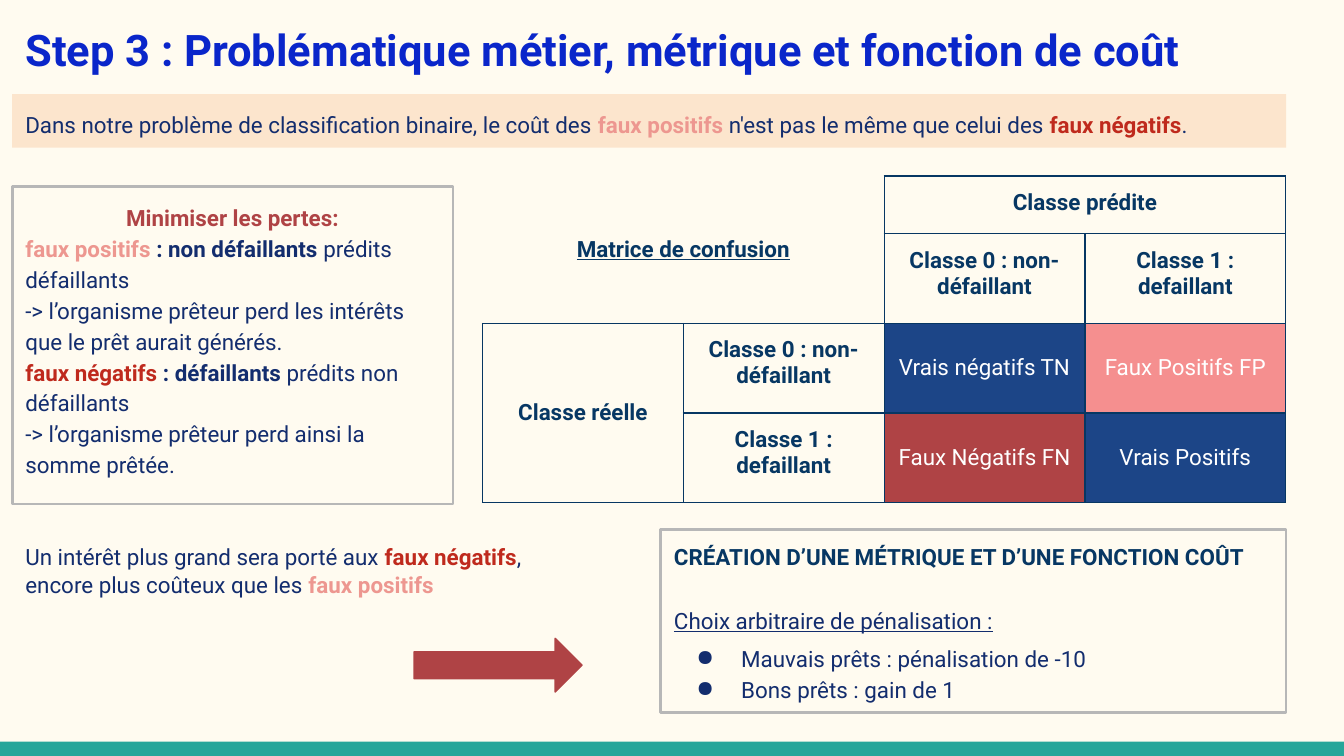
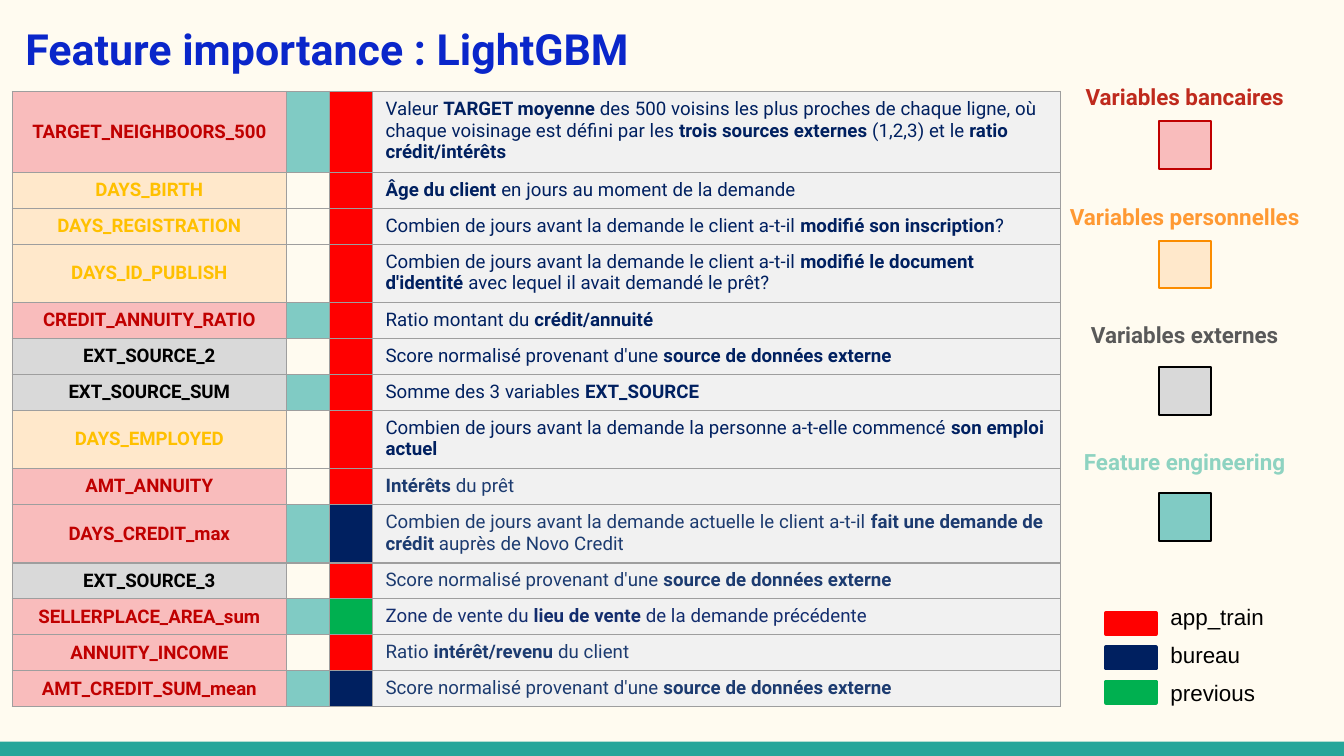
"""Build two slides on the credit cost function and the feature importance."""
from lxml import etree
from pptx import Presentation
from pptx.dml.color import RGBColor
from pptx.enum import shapes, text
from pptx.oxml import ns
from pptx.util import Pt

HEX = {
    "cream": "FFFBF0", "teal": "26A69A", "blue": "0A26CA", "navy": "132D6E",
    "ink": "073763", "rose": "ED9790", "brick": "BF2A1D", "wine": "AF4345",
    "peach": "FCE5CD", "grey": "B7B7B7", "royal": "1C4587", "coral": "F58F8F",
    "white": "FFFFFF", "black": "000000", "rule": "9E9E9E", "pale": "F1F1F1",
    "pink": "F9BCBC", "crimson": "C00000", "sand": "FFE8CB", "gold": "FFC000",
    "silver": "D9D9D9", "mint": "80CBC4", "red": "FF0000", "deep": "002060",
    "green": "00B050", "steel": "1C3B70", "orange": "FF9933", "amber": "FB8C00",
    "slate": "595959", "aqua": "8ED3C1",
}
TINTS = {"faux positifs": "rose", "faux négatifs": "brick"}
LEFT, MID = text.PP_ALIGN.LEFT, text.PP_ALIGN.CENTER
TOP, HALF = text.MSO_ANCHOR.TOP, text.MSO_ANCHOR.MIDDLE
RECT, ARROW = shapes.MSO_SHAPE.RECTANGLE, shapes.MSO_SHAPE.RIGHT_ARROW
EDGES = ("L", "R", "T", "B")


class Deck:
    """Hold the shared style and the current slide."""

    def __init__(self):
        self.show = Presentation()
        self.show.slide_width, self.show.slide_height = Pt(720), Pt(405)
        self.slide = None

    def rgb(self, name):
        """Return the named colour."""
        return RGBColor.from_string(HEX[name])

    def page(self, title, size):
        """Start a slide with its background, footer band and title."""
        self.slide = self.show.slides.add_slide(self.show.slide_layouts[6])
        back = self.slide.background.fill
        back.solid()
        back.fore_color.rgb = self.rgb("cream")
        self.shape((0, 397.4, 720, 7.6), "teal")
        self.label((6.5, 5, 666, 45.4), [f"|{title}|"], pad=(7.2, 7.2), size=size, color="blue")

    def paint(self, item, fill):
        """Fill a shape or cell, or leave it clear."""
        if fill:
            item.fill.solid()
            item.fill.fore_color.rgb = self.rgb(fill)
        else:
            item.fill.background()

    def shape(self, box, fill=None, line=None, width=1.5, kind=RECT):
        """Add a preset shape."""
        item = self.slide.shapes.add_shape(kind, *map(Pt, box))
        item.shadow.inherit = False
        self.paint(item, fill)
        if line:
            item.line.color.rgb = self.rgb(line)
            item.line.width = Pt(width)
        else:
            item.line.fill.background()
        return item

    def label(self, box, lines, pad=(7.2, 3.6), **style):
        """Add a text box."""
        frame = self.slide.shapes.add_textbox(*map(Pt, box)).text_frame
        return self.fit(frame, lines, pad, **style)

    def fit(self, frame, lines, pad=(7.2, 7.2), **style):
        """Set the margins of a frame and put in its lines."""
        frame.word_wrap = True
        frame.vertical_anchor = TOP
        frame.margin_left = frame.margin_right = Pt(pad[0])
        frame.margin_top = frame.margin_bottom = Pt(pad[1])
        return self.say(frame, lines, **style)

    def say(self, frame, lines, size=12, color="navy", align=LEFT, lead=None,
            font="Roboto", track=0):
        """Put in lines whose bars enclose bold words."""
        for row, line in enumerate(lines):
            para = frame.add_paragraph() if row else frame.paragraphs[0]
            para.alignment = align
            if lead:
                para.line_spacing = lead
            for spot, piece in enumerate(line.split("|")):
                if not piece:
                    continue
                run = para.add_run()
                run.text = piece
                run.font.name, run.font.size = font, Pt(size)
                run.font.bold = spot % 2 == 1
                run.font.color.rgb = self.rgb(TINTS.get(piece, color))
                if track:
                    run.font._element.set("spc", str(track))
        return frame.paragraphs

    def bullet(self, para):
        """Give a paragraph a round bullet."""
        props = para._p.get_or_add_pPr()
        props.set("marL", str(Pt(36)))
        props.set("indent", str(Pt(-24)))
        tint = etree.SubElement(props, ns.qn("a:buClr"))
        etree.SubElement(tint, ns.qn("a:srgbClr")).set("val", HEX["navy"])
        etree.SubElement(props, ns.qn("a:buChar")).set("char", "●")

    def table(self, spot, cols, rows):
        """Add a plain table."""
        size = (sum(cols), sum(rows))
        grid = self.slide.shapes.add_table(len(rows), len(cols), *map(Pt, spot + size)).table
        grid.first_row = grid.horz_banding = False
        for col, width in zip(grid.columns, cols):
            col.width = Pt(width)
        for row, height in zip(grid.rows, rows):
            row.height = Pt(height)
        return grid

    def cell(self, cell, words, edge, fill=None, pad=3.6, anchor=HALF, sides=EDGES, **style):
        """Border, fill and letter one cell."""
        props = cell._tc.get_or_add_tcPr()
        for side in EDGES:
            line = etree.SubElement(props, ns.qn(f"a:ln{side}"))
            if side in sides:
                line.set("w", str(Pt(0.75)))
                solid = etree.SubElement(line, ns.qn("a:solidFill"))
                etree.SubElement(solid, ns.qn("a:srgbClr")).set("val", HEX[edge])
            else:
                etree.SubElement(line, ns.qn("a:noFill"))
        self.paint(cell, fill)
        cell.margin_top = cell.margin_bottom = Pt(pad)
        cell.vertical_anchor = anchor
        paras = self.say(cell.text_frame, [words], **style)
        if not words:
            etree.SubElement(paras[0]._p, ns.qn("a:endParaRPr")).set("sz", "800")
        return paras


def cost(deck):
    """Build the slide on the business problem and the cost function."""
    deck.page("Step 3 : Problématique métier, métrique et fonction de coût", 23.3)

    zero, one = "|Classe 0 : non-défaillant|", "|Classe 1 : defaillant|"
    cells = [
        ["|Matrice de confusion|", "", "|Classe prédite|", ""],
        ["", "", zero, one],
        ["|Classe réelle|", zero, "Vrais négatifs TN", "Faux Positifs FP"],
        ["", one, "Faux Négatifs FN", "Vrais Positifs"],
    ]
    fills = {(2, 2): "royal", (2, 3): "coral", (3, 2): "wine", (3, 3): "royal"}
    grid = deck.table((258.5, 94.3), [107.6] * 4, [31, 48, 48, 48])
    for r, row in enumerate(cells):
        for c, words in enumerate(row):
            fill, corner = fills.get((r, c)), r < 2 and c < 2
            middle = fill or c == 0
            paras = deck.cell(
                grid.cell(r, c), words, "ink", fill, 7.2, HALF if middle else TOP,
                ("R", "B") if corner else EDGES,
                color="white" if fill else "ink", align=MID)
            if corner and words:
                paras[0].runs[0].font.underline = True
    for start, end in (((0, 0), (1, 1)), ((0, 2), (0, 3)), ((2, 0), (3, 0))):
        grid.cell(*start).merge(grid.cell(*end))

    strip = deck.shape((6.5, 50.4, 682.5, 28.8), "peach")
    deck.fit(strip.text_frame, [
        "Dans notre problème de classification binaire, le coût des |faux positifs| "
        "n'est pas le même que celui des |faux négatifs|."], lead=1.15)

    loss = deck.shape((6.5, 100, 236.2, 170), line="grey")
    paras = deck.fit(loss.text_frame, [
        "|Minimiser les pertes:|",
        "|faux positifs| |: non défaillants| prédits défaillants",
        "-> l’organisme prêteur perd les intérêts que le prêt aurait générés.",
        "|faux négatifs| |: défaillants| prédits non défaillants",
        "-> l’organisme prêteur perd ainsi la somme prêtée."], lead=1.15)
    paras[0].alignment = MID
    paras[0].runs[0].font.color.rgb = deck.rgb("wine")

    deck.label((6.5, 283.7, 309, 43.9), [
        "Un intérêt plus grand sera porté aux |faux négatifs|, "
        "encore plus coûteux que les |faux positifs|"], pad=(7.2, 7.2), lead=1.02)

    metric = deck.shape((354, 283.7, 335, 98), line="grey")
    head, pick, *gains = deck.fit(metric.text_frame, [
        "|CRÉATION D’UNE MÉTRIQUE ET D’UNE FONCTION COÛT|",
        "Choix arbitraire de pénalisation :",
        "Mauvais prêts : pénalisation de -10",
        "Bons prêts : gain de 1"], lead=1.15)
    head.line_spacing = 1.02
    head.runs[0].font.color.rgb = deck.rgb("ink")
    pick.space_before = Pt(17.5)
    pick.runs[0].font.underline = True
    gains[0].space_before = Pt(4)
    for gain in gains:
        deck.bullet(gain)

    deck.shape((221.8, 342, 90, 28.8), "wine", "wine", 0.75, ARROW)


def features(deck):
    """Build the slide on feature importance."""
    deck.page("Feature importance : LightGBM", 23)

    bank, own, ext = ("pink", "crimson"), ("sand", "gold"), ("silver", "black")
    train, bureau, prior = "red", "deep", "green"
    score = "Score normalisé provenant d'une |source de données externe|"
    rows = [
        ("TARGET_NEIGHBOORS_500", bank, "mint", train, "deep",
         "Valeur |TARGET moyenne| des 500 voisins les plus proches de chaque ligne, où "
         "chaque voisinage est défini par les |trois sources externes| (1,2,3) et le "
         "|ratio crédit/intérêts|"),
        ("DAYS_BIRTH", own, None, train, "deep",
         "|Âge du client| en jours au moment de la demande"),
        ("DAYS_REGISTRATION", own, None, train, "deep",
         "Combien de jours avant la demande le client a-t-il |modifié son inscription|?"),
        ("DAYS_ID_PUBLISH", own, None, train, "deep",
         "Combien de jours avant la demande le client a-t-il |modifié le document "
         "d'identité| avec lequel il avait demandé le prêt?"),
        ("CREDIT_ANNUITY_RATIO", bank, "mint", train, "deep",
         "Ratio montant du |crédit/annuité|"),
        ("EXT_SOURCE_2", ext, None, train, "deep", score),
        ("EXT_SOURCE_SUM", ext, "mint", train, "deep",
         "Somme des 3 variables |EXT_SOURCE|"),
        ("DAYS_EMPLOYED", own, None, train, "deep",
         "Combien de jours avant la demande la personne a-t-elle commencé "
         "|son emploi actuel|"),
        ("AMT_ANNUITY", bank, None, train, "steel", "|Intérêts| du prêt"),
        ("DAYS_CREDIT_max", bank, "mint", bureau, "steel",
         "Combien de jours avant la demande actuelle le client a-t-il "
         "|fait une demande de crédit| auprès de Novo Credit"),
        ("EXT_SOURCE_3", ext, None, train, "steel", score),
        ("SELLERPLACE_AREA_sum", bank, "mint", prior, "navy",
         "Zone de vente du |lieu de vente| de la demande précédente"),
        ("ANNUITY_INCOME", bank, None, train, "steel",
         "Ratio |intérêt/revenu| du client"),
        ("AMT_CREDIT_SUM_mean", bank, "mint", bureau, "steel", score),
    ]
    tall = {0: 38, 3: 27.4, 7: 27.4, 9: 27.4}
    highs = [tall.get(r, 16.6) for r in range(len(rows))]
    grid = deck.table((6.5, 49), [146.9, 23, 23, 368.6], highs)
    for r, (name, (fill, ink), made, source, tone, words) in enumerate(rows):
        cells = [grid.cell(r, c) for c in range(4)]
        deck.cell(cells[0], f"|{name}|", "rule", fill, size=10, color=ink, align=MID)
        deck.cell(cells[1], "", "rule", made)
        deck.cell(cells[2], "", "rule", source)
        deck.cell(cells[3], words, "rule", "pale", anchor=TOP, size=10, color=tone, track=5)

    groups = [
        ("Variables bancaires", 44.6, 64.8, 121, "brick", "pink", "crimson"),
        ("Variables personnelles", 108.7, 128.9, 133, "orange", "sand", "amber"),
        ("Variables externes", 172.1, 196.6, 109, "slate", "silver", "black"),
        ("Feature engineering", 239.8, 264.2, 119, "aqua", "mint", "black"),
    ]
    axis = 634.7
    for name, high, low, wide, ink, fill, line in groups:
        deck.label((axis - wide / 2, high, wide, 15.8), [f"|{name}|"], pad=(0, 0),
                   color=ink, align=MID)
        deck.shape((axis - 14, low, 28, 25.6), fill, line, 1)

    for para in deck.label((620, 319.7, 86.4, 62.6), ["app_train", "bureau", "previous"],
                           color="black", font="Arial"):
        para.space_after = Pt(6)
    for r, fill in enumerate((train, bureau, prior)):
        deck.shape((592.6, 328.3 + 18.4 * r, 26.6, 11.5), fill, fill, 2)


def main():
    """Build and save the deck."""
    deck = Deck()
    cost(deck)
    features(deck)
    deck.show.save("out.pptx")


if __name__ == "__main__":
    main()
